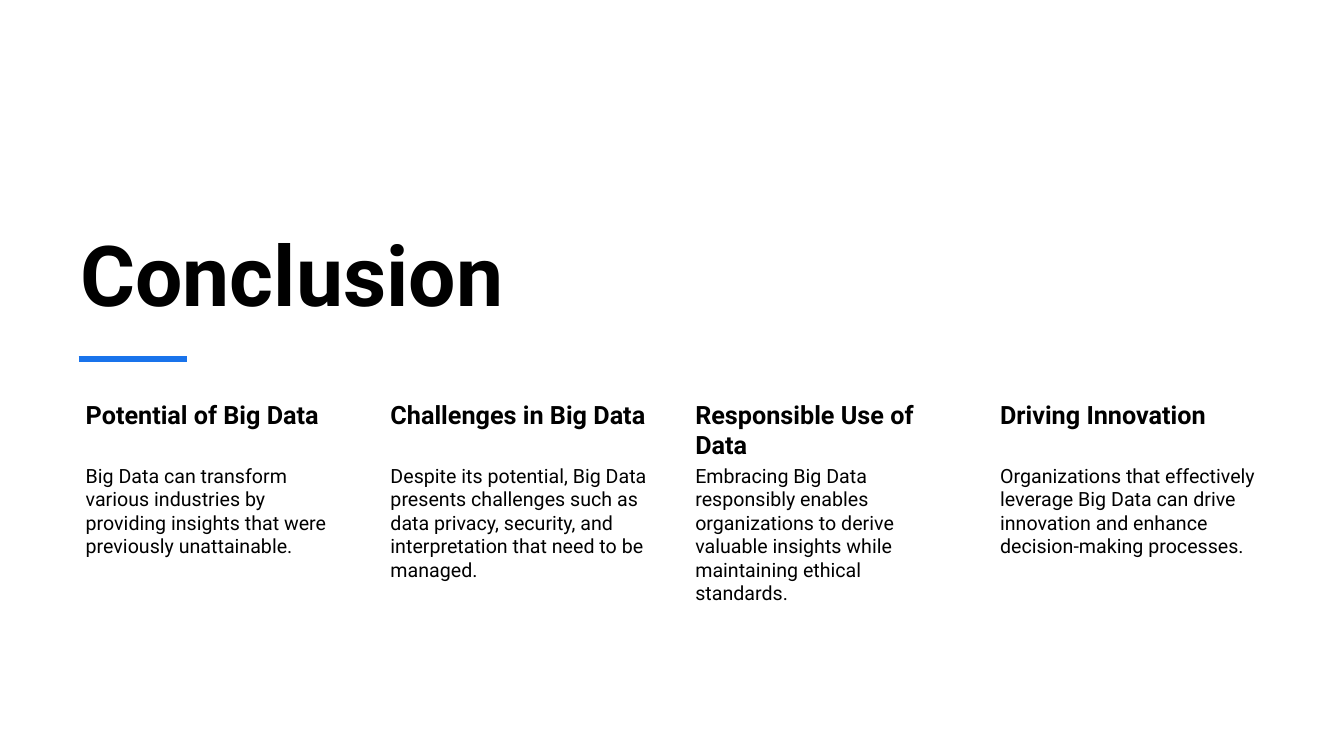
from dataclasses import dataclass

from lxml.etree import SubElement
from pptx import Presentation
from pptx.dml.color import RGBColor
from pptx.enum.shapes import MSO_CONNECTOR
from pptx.enum.text import MSO_ANCHOR
from pptx.oxml.ns import qn
from pptx.util import Inches, Pt

FONT = "Roboto"
BLACK, BLUE, WHITE = "000000", "1973EB", "FFFFFF"
LEFT, COLUMN_STEP, COLUMN_WIDTH = 0.7, 3.023, 2.75


@dataclass(frozen=True)
class Takeaway:
    heading: str
    body: str


@dataclass(frozen=True)
class TextStyle:
    size: float
    bold: bool = False
    insets: tuple[float, float, float, float] = (0.1, 0.05, 0.1, 0.05)
    anchor: MSO_ANCHOR = MSO_ANCHOR.TOP
    space_after: float = 0


TITLE = TextStyle(60, bold=True, anchor=MSO_ANCHOR.BOTTOM)
HEADING = TextStyle(18, bold=True, insets=(0.15, 0.03, 0.03, 0.03), space_after=6.3)
BODY = TextStyle(14, insets=(0.15, 0.02, 0.02, 0.02), space_after=4.9)

TAKEAWAYS = [
    Takeaway("Potential of Big Data",
             "Big Data can transform various industries by providing insights "
             "that were previously unattainable."),
    Takeaway("Challenges in Big Data",
             "Despite its potential, Big Data presents challenges such as data "
             "privacy, security, and interpretation that need to be managed."),
    Takeaway("Responsible Use of Data",
             "Embracing Big Data responsibly enables organizations to derive "
             "valuable insights while maintaining ethical standards."),
    Takeaway("Driving Innovation",
             "Organizations that effectively leverage Big Data can drive "
             "innovation and enhance decision-making processes."),
]


def color(value: str) -> RGBColor:
    return RGBColor.from_string(value)


def add_text(shapes, text: str, x: float, y: float, w: float, h: float,
             style: TextStyle) -> None:
    sp = shapes.add_textbox(Inches(x), Inches(y), Inches(w), Inches(h))
    tf = sp.text_frame
    tf.word_wrap = True
    tf.vertical_anchor = style.anchor
    (tf.margin_left, tf.margin_top,
     tf.margin_right, tf.margin_bottom) = map(Inches, style.insets)
    tf.text = text
    p = tf.paragraphs[0]
    p.space_after = Pt(style.space_after)
    r = p.runs[0]
    r.font.name = FONT
    r.font.size = Pt(style.size)
    r.font.bold = style.bold
    r.font.color.rgb = color(BLACK)


def add_rule(shapes, x1: float, x2: float, y: float) -> None:
    line = shapes.add_connector(MSO_CONNECTOR.STRAIGHT, Inches(x1), Inches(y),
                                Inches(x2), Inches(y))
    line.line.color.rgb = color(BLUE)
    line.line.width = Pt(4.5)
    SubElement(line._element.spPr, qn("a:effectLst"))


def main() -> None:
    prs = Presentation()
    prs.slide_width, prs.slide_height = Inches(13.33), Inches(7.5)
    s = prs.slides.add_slide(prs.slide_layouts[6])
    s.background.fill.solid()
    s.background.fill.fore_color.rgb = color(WHITE)

    # Title and accent rule
    add_text(s.shapes, "Conclusion", LEFT, 1.72, 8.93, 1.54, TITLE)
    add_rule(s.shapes, 0.78, 1.85, 3.56)

    # Takeaway columns
    columns = s.shapes.add_group_shape()
    for i, takeaway in enumerate(TAKEAWAYS):
        x = LEFT + i * COLUMN_STEP
        add_text(columns.shapes, takeaway.heading, x, 3.93, COLUMN_WIDTH, 0.65, HEADING)
        add_text(columns.shapes, takeaway.body, x, 4.58, COLUMN_WIDTH, 2.08, BODY)

    prs.save("out.pptx")


if __name__ == "__main__":
    main()
